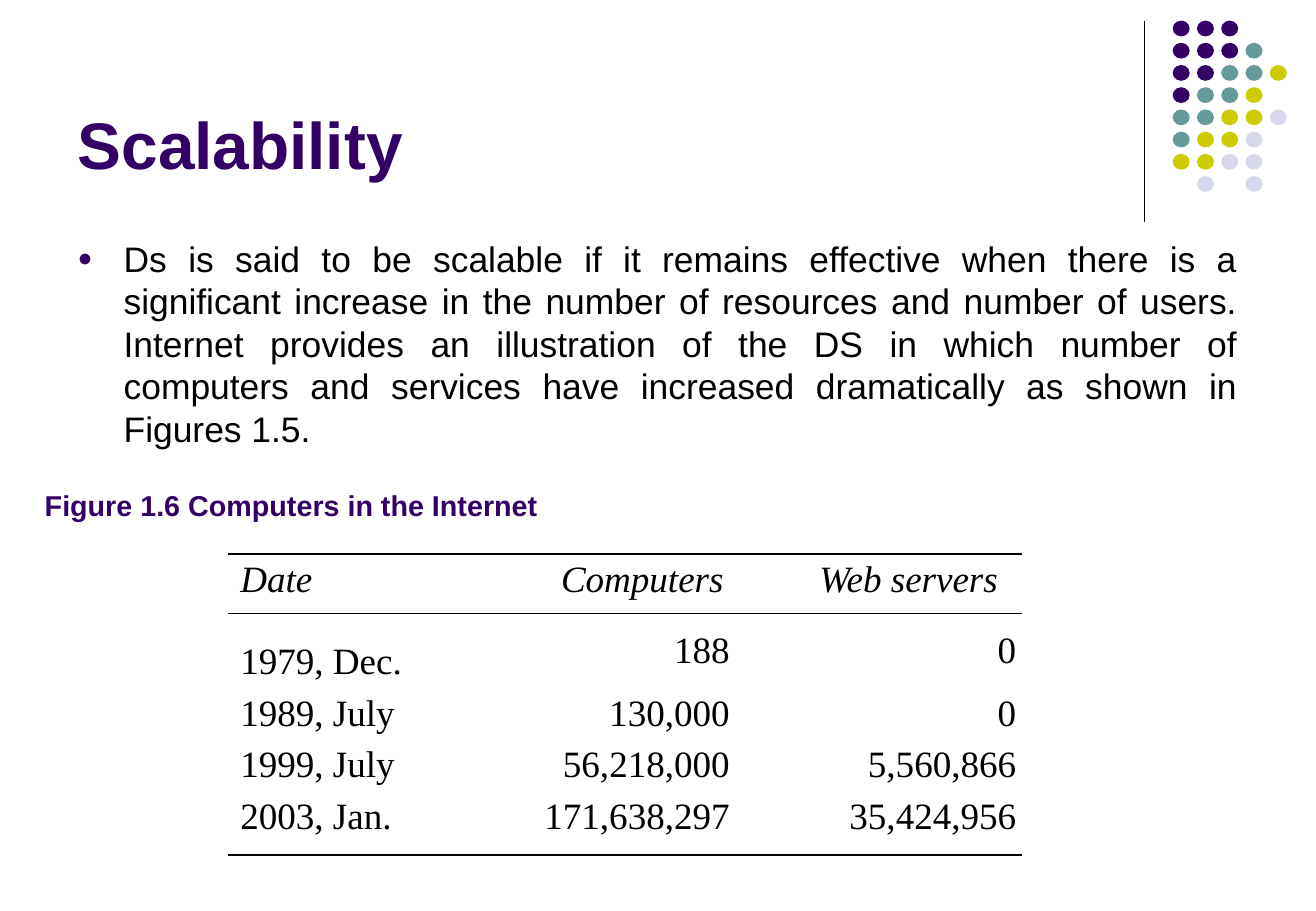
from lxml import etree
from pptx import Presentation
from pptx.dml.color import RGBColor
from pptx.enum.shapes import MSO_CONNECTOR, MSO_SHAPE
from pptx.enum.text import MSO_ANCHOR, MSO_AUTO_SIZE, PP_ALIGN
from pptx.oxml.ns import qn
from pptx.util import Inches, Pt

LEFT, RIGHT, JUSTIFY = PP_ALIGN.LEFT, PP_ALIGN.RIGHT, PP_ALIGN.JUSTIFY
TOP, BOTTOM = MSO_ANCHOR.TOP, MSO_ANCHOR.BOTTOM
PURPLE, BLACK = "330066", "000000"
NO_STYLE = "{2D5ABB26-0587-4C30-8999-92F81FD0307C}"

TITLE = "Scalability"
BODY = ("Ds is said to be scalable if it remains effective when there is a "
        "significant increase in the number of resources and number of users. "
        "Internet provides an illustration of the DS in which number of "
        "computers and services have increased dramatically as shown in "
        "Figures 1.5.")
CAPTION = "Figure 1.6 Computers in the Internet"
ROWS = [
    ("Date", "Computers", "Web servers"),
    ("1979, Dec.", "188", "0"),
    ("1989, July", "130,000", "0"),
    ("1999, July", "56,218,000", "5,560,866"),
    ("2003, Jan.", "171,638,297", "35,424,956"),
]
COL_WIDTHS = (2.04, 2.12, 2.38)
ROW_HEIGHTS = (0.49, 0.61, 0.42, 0.43, 0.53)
HEADER_RIGHT = (0, 0.08, 0.2)
NUMBER_RIGHT = (0, 0.03, 0.05)
FIRST_ROW_TOP = (0.23, 0.14, 0.14)

DOT_COLORS = {"P": PURPLE, "T": "669999", "Y": "CCCC00", "L": "D8D8EC"}
DOTS = ["PPP", "PPPT", "PPTTY", "PTTY", "TTYYL", "TYYL", "YYLL", " L L"]


def rgb(color):
    return RGBColor.from_string(color)


def set_font(p, size, color, name="Arial", bold=False, italic=False):
    f = p.font
    f.name, f.size, f.bold, f.italic = name, Pt(size), bold, italic
    f.color.rgb = rgb(color)


def add_child(parent, tag, **attrs):
    return etree.SubElement(parent, qn(tag), attrs)


def place(sp, x, y, w, h):
    sp.left, sp.top, sp.width, sp.height = map(Inches, (x, y, w, h))


def write(sp, text, anchor, align):
    """Fill a wrapped, fixed-size text frame and return its paragraph."""
    tf = sp.text_frame
    tf.word_wrap = True
    tf.auto_size = MSO_AUTO_SIZE.NONE
    tf.vertical_anchor = anchor
    p = tf.paragraphs[0]
    p.text = text
    p.alignment = align
    return p


def add_bullet(p):
    pPr = p._p.get_or_add_pPr()
    pPr.set("marL", str(Inches(0.38)))
    pPr.set("indent", str(Inches(-0.38)))
    add_child(add_child(pPr, "a:buClr"), "a:srgbClr", val=PURPLE)
    add_child(pPr, "a:buSzPct", val="70000")
    add_child(pPr, "a:buFont", typeface="Arial")
    add_child(pPr, "a:buChar", char="●")


def add_border(cell, side):
    ln = add_child(cell._tc.get_or_add_tcPr(), side, w=str(Pt(1)))
    add_child(add_child(ln, "a:solidFill"), "a:srgbClr", val=BLACK)


def add_decoration(s):
    line = s.shapes.add_connector(MSO_CONNECTOR.STRAIGHT, Inches(9.43),
                                  Inches(0.17), Inches(9.43), Inches(1.83))
    line.line.color.rgb = rgb(BLACK)
    line.line.width = Pt(0.75)
    add_child(line._element.spPr, "a:effectLst")
    for i, row in enumerate(DOTS):
        for j, key in enumerate(row):
            if key == " ":
                continue
            dot = s.shapes.add_shape(
                MSO_SHAPE.OVAL, Inches(9.66 + 0.2 * j),
                Inches(0.17 + 1.28 / 7 * i), Inches(0.14), Inches(0.13))
            dot.shadow.inherit = False
            dot.fill.solid()
            dot.fill.fore_color.rgb = rgb(DOT_COLORS[key])
            dot.line.fill.background()


def add_computers_table(s):
    frame = s.shapes.add_table(
        len(ROWS), len(COL_WIDTHS), Inches(1.88), Inches(4.56),
        Inches(sum(COL_WIDTHS)), Inches(sum(ROW_HEIGHTS)))
    table = frame.table
    table.horz_banding = False
    table._tbl.tblPr.find(qn("a:tableStyleId")).text = NO_STYLE
    for j, width in enumerate(COL_WIDTHS):
        table.columns[j].width = Inches(width)
    for i, row in enumerate(ROWS):
        table.rows[i].height = Inches(ROW_HEIGHTS[i])
        for j, text in enumerate(row):
            cell = table.cell(i, j)
            cell.margin_left = Inches(0.1)
            cell.margin_right = Inches((NUMBER_RIGHT if i else HEADER_RIGHT)[j])
            cell.margin_top = Inches(FIRST_ROW_TOP[j] if i == 1 else 0.05)
            cell.margin_bottom = 0
            cell.vertical_anchor = TOP
            if i == 0:
                add_border(cell, "a:lnT")
            if i in (0, len(ROWS) - 1):
                add_border(cell, "a:lnB")
            cell.fill.background()
            p = cell.text_frame.paragraphs[0]
            p.text = text
            p.alignment = RIGHT if j else LEFT
            set_font(p, 22, BLACK, "Times New Roman", italic=i == 0)


def main():
    prs = Presentation()
    prs.slide_width, prs.slide_height = Inches(10.84), Inches(7.5)
    s = prs.slides.add_slide(prs.slide_layouts[5])
    add_decoration(s)

    title = s.shapes.title
    place(title, 0.54, 0.13, 8.94, 1.42)
    set_font(write(title, TITLE, BOTTOM, LEFT), 39, PURPLE, bold=True)

    body = s.shapes.add_textbox(0, 0, 0, 0)
    place(body, 0.54, 1.9, 9.75, 1.9)
    p = write(body, BODY, TOP, JUSTIFY)
    p.line_spacing = Pt(25.2)
    add_bullet(p)
    set_font(p, 21, BLACK)

    add_computers_table(s)

    caption = s.shapes.add_textbox(0, 0, 0, 0)
    place(caption, 0.27, 3.6, 9.72, 0.75)
    set_font(write(caption, CAPTION, BOTTOM, LEFT), 17, PURPLE, bold=True)

    prs.save("out.pptx")


if __name__ == "__main__":
    main()
